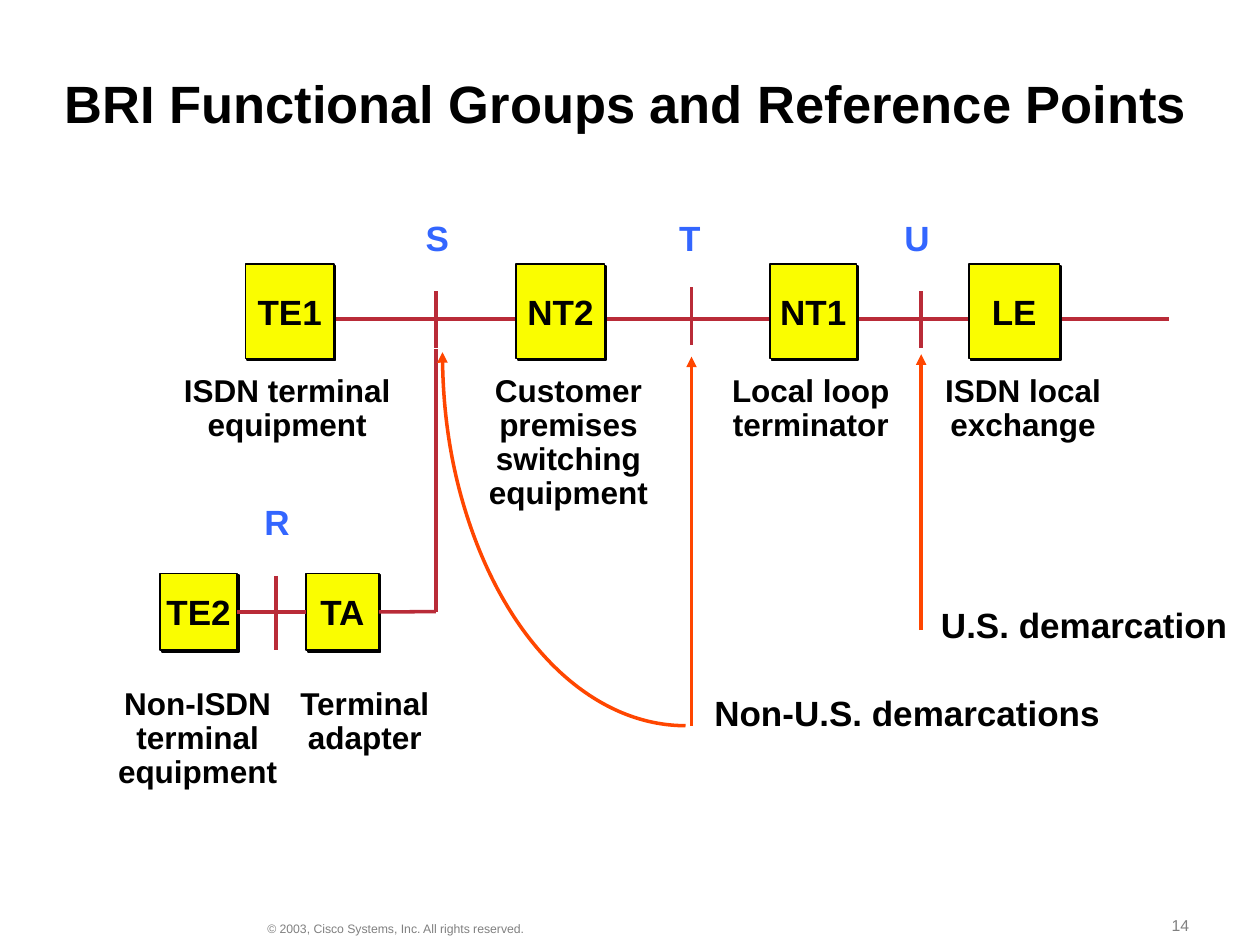
"""Draw the slide on BRI functional groups and reference points."""
from typing import NamedTuple

from lxml.etree import SubElement
from pptx import Presentation
from pptx.dml.color import RGBColor
from pptx.enum.shapes import MSO_CONNECTOR as Link, MSO_SHAPE as Kind
from pptx.enum.text import MSO_ANCHOR as Anchor, PP_ALIGN as Align
from pptx.oxml.ns import qn
from pptx.util import Cm, Pt

BLACK = RGBColor(0x00, 0x00, 0x00)
GRAY = RGBColor(0x80, 0x80, 0x80)
BLUE = RGBColor(0x33, 0x66, 0xFF)
YELLOW = RGBColor(0xFA, 0xFD, 0x00)
RED = RGBColor(0xB9, 0x2B, 0x38)
ORANGE = RGBColor(0xFF, 0x46, 0x00)


class Group(NamedTuple):
    name: str
    left: float
    top: float
    width: float
    height: float


class Style(NamedTuple):
    size: float
    color: RGBColor = BLACK
    bold: bool = True
    align: Align = Align.LEFT
    space: float = 1.0
    wrap: bool = False
    anchor: Anchor = Anchor.TOP
    pad: tuple = (0.25, 0.13)


class Label(NamedTuple):
    text: str
    left: float
    top: float
    width: float
    height: float
    style: Style


class Wire(NamedTuple):
    x1: float
    y1: float
    x2: float
    y2: float
    color: RGBColor = RED
    arrow: bool = False


EDGE = (0.23, 0.1)
NAME = Style(20, align=Align.CENTER, anchor=Anchor.MIDDLE, pad=(0, 0))
CAPTION = Style(18, align=Align.CENTER, space=0.9, wrap=True)
POINT = Style(20, BLUE)
NOTE = Style(20, pad=(0.28, 0.15))
TITLE = Style(30, space=0.9, wrap=True, anchor=Anchor.BOTTOM, pad=EDGE)
NUMBER = Style(9, GRAY, False, anchor=Anchor.BOTTOM, pad=EDGE)
RIGHTS = NUMBER._replace(size=7)

S_X, T_X, U_X, R_X = 8.79, 13.94, 18.57, 5.56
FOOT = 12.33

WIRES = [
    Wire(5.82, 6.43, 23.57, 6.43),
    Wire(S_X, 5.87, S_X, 7.01),
    Wire(T_X, 5.79, T_X, 6.96),
    Wire(U_X, 5.87, U_X, 7.01),
    Wire(R_X, 11.61, R_X, 13.11),
    Wire(S_X, 7.04, S_X, FOOT),
    Wire(T_X, 14.63, T_X, 7.19, ORANGE, True),
    Wire(U_X, 12.7, U_X, 7.14, ORANGE, True),
]

GROUPS = [
    Group("TE1", 4.95, 5.33, 1.78, 1.9),
    Group("NT2", 10.41, 5.33, 1.78, 1.9),
    Group("NT1", 15.52, 5.33, 1.75, 1.9),
    Group("LE", 19.53, 5.33, 1.83, 1.9),
    Group("TE2", 3.23, 11.56, 1.55, 1.55),
    Group("TA", 6.17, 11.56, 1.47, 1.55),
]

LABELS = [
    Label("BRI Functional Groups and Reference Points", 1.07, 1.7, 23.5, 1.12, TITLE),
    Label("S", 8.33, 4.24, 0.99, 1.12, POINT),
    Label("T", 13.44, 4.24, 0.94, 1.12, POINT),
    Label("U", 17.98, 4.24, 1.02, 1.12, POINT),
    Label("R", 5.08, 9.96, 1.02, 1.12, POINT),
    Label("ISDN terminal equipment", 3.15, 7.44, 5.28, 1.63, CAPTION),
    Label("Customer premises switching equipment", 9.25, 7.44, 4.42, 3, CAPTION),
    Label("Local loop terminator", 14.12, 7.44, 4.45, 1.63, CAPTION),
    Label("ISDN local exchange", 18.49, 7.44, 4.27, 1.63, CAPTION),
    Label("Non-ISDN terminal equipment", 1.93, 13.74, 4.11, 2.31, CAPTION),
    Label("Terminal adapter", 5.74, 13.74, 3.23, 1.63, CAPTION),
    Label("U.S. demarcation", 18.69, 12.01, 6.35, 1.14, NOTE),
    Label("Non-U.S. demarcations", 14.12, 13.79, 8.36, 1.14, NOTE),
    Label("© 2003, Cisco Systems, Inc. All rights reserved.", 5.16, 18.44, 5.64, 0.53, RIGHTS),
    Label("14", 23.39, 18.34, 1.9, 0.61, NUMBER),
]


def write(shape, text: str, style: Style) -> None:
    """Put one styled run into the shape."""
    frame = shape.text_frame
    frame.word_wrap = style.wrap
    frame.vertical_anchor = style.anchor
    frame.margin_left = frame.margin_right = Cm(style.pad[0])
    frame.margin_top = frame.margin_bottom = Cm(style.pad[1])
    para = frame.paragraphs[0]
    para.alignment = style.align
    para.line_spacing = style.space
    run = para.add_run()
    run.text = text
    font = run.font
    font.name, font.size, font.bold = "Arial", Pt(style.size), style.bold
    font.color.rgb = style.color


def ink(shape, color: RGBColor, arrow: bool) -> None:
    """Set the line's colour, width and arrowhead."""
    shape.line.color.rgb = color
    shape.line.width = Pt(2)
    if arrow:
        SubElement(shape.line._get_or_add_ln(), qn("a:tailEnd"), type="triangle")


def draw_wire(slide, wire: Wire):
    """Draw a straight connector without a shadow."""
    ends = [Cm(end) for end in wire[:4]]
    line = slide.shapes.add_connector(Link.STRAIGHT, *ends)
    ink(line, wire.color, wire.arrow)
    SubElement(line._element.spPr, qn("a:effectLst"))
    return line


def draw_group(slide, group: Group):
    """Draw a named box with a hard shadow."""
    box = slide.shapes.add_shape(Kind.RECTANGLE, *map(Cm, group[1:]))
    box.fill.solid()
    box.fill.fore_color.rgb = YELLOW
    box.line.color.rgb = BLACK
    box.line.width = Pt(1)
    box.shadow.inherit = False
    glow = box._element.spPr.find(qn("a:effectLst"))
    cast = SubElement(glow, qn("a:outerShdw"), dist=str(Pt(1.4)), dir="2700000",
                      algn="ctr", rotWithShape="0")
    SubElement(cast, qn("a:srgbClr"), val=str(BLACK))
    write(box, group.name, NAME)
    return box


def draw_label(slide, label: Label) -> None:
    """Draw a text box."""
    box = slide.shapes.add_textbox(*map(Cm, label[1:5]))
    write(box, label.text, label.style)


def draw_arc(slide) -> None:
    """Draw the quarter arc that ends in an arrow at S."""
    arc = slide.shapes.add_shape(Kind.ARC, Cm(8.92), Cm(-0.43), Cm(9.8), Cm(15.06))
    arc.adjustments[0] = 54
    arc.adjustments[1] = 108
    arc.fill.background()
    arc.shadow.inherit = False
    ink(arc, ORANGE, True)


def main() -> None:
    """Build and save the slide."""
    deck = Presentation()
    deck.slide_width, deck.slide_height = Cm(25.4), Cm(19.05)
    slide = deck.slides.add_slide(deck.slide_layouts[6])
    for wire in WIRES:
        draw_wire(slide, wire)
    boxes = {group.name: draw_group(slide, group) for group in GROUPS}
    link = draw_wire(slide, Wire(4.78, FOOT, 6.17, FOOT))
    link.begin_connect(boxes["TE2"], 3)
    link.end_connect(boxes["TA"], 1)
    draw_wire(slide, Wire(7.64, FOOT, S_X, FOOT)).begin_connect(boxes["TA"], 3)
    draw_arc(slide)
    for label in LABELS:
        draw_label(slide, label)
    deck.save("out.pptx")


if __name__ == "__main__":
    main()
